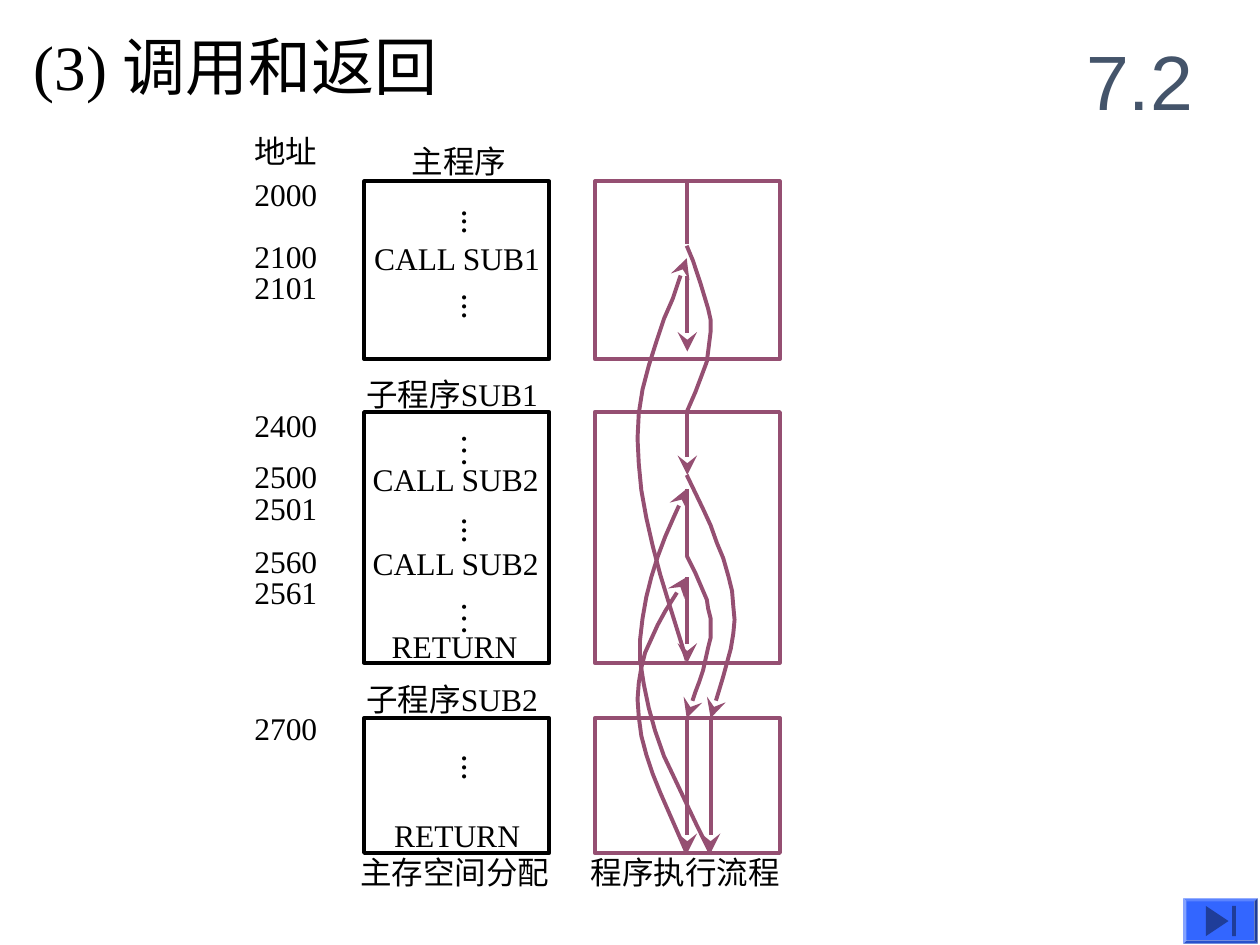
from lxml.etree import SubElement
from pptx import Presentation
from pptx.dml.color import RGBColor
from pptx.enum.shapes import MSO_CONNECTOR as Connector, MSO_SHAPE as Preset
from pptx.enum.text import MSO_ANCHOR as Anchor, MSO_AUTO_SIZE as AutoSize, PP_ALIGN as Align
from pptx.oxml.ns import qn
from pptx.util import Inches, Pt

BLACK, PLUM, SLATE = "000000", "954F72", "44546A"
BUTTON, ICON = "3366FF", "1F3D99"
SERIF, SANS = "Times New Roman", "Arial"

MEMORY_LEFT, FLOW_LEFT, BLOCK_WIDTH = 2.89, 4.72, 1.47
LANE = FLOW_LEFT + BLOCK_WIDTH / 2
SIDE_LANE = 5.64
BLOCKS = {"main": (1.44, 1.41), "sub1": (3.27, 1.99), "sub2": (5.7, 1.07)}

ADDRESS_LEFT, ADDRESS_WIDTH = 1.92, 0.7
ADDRESSES = [
    ("地址", 1), ("2000", 1.34), ("2100", 1.83), ("2101", 2.08), ("2400", 3.17), ("2500", 3.58),
    ("2501", 3.83), ("2560", 4.25), ("2561", 4.5), ("2700", 5.58),
]
LABELS = [
    ("主程序", 3.17, 1.08, 0.95), ("CALL SUB1", 2.87, 1.85, 1.52),
    ("子程序SUB1", 2.81, 2.93, 1.62), ("CALL SUB2", 2.86, 3.6, 1.52),
    ("CALL SUB2", 2.86, 4.27, 1.52), ("RETURN", 3.01, 4.93, 1.2),
    ("子程序SUB2", 2.81, 5.35, 1.62), ("RETURN", 3.03, 6.43, 1.2),
    ("主存空间分配", 2.76, 6.72, 1.7), ("程序执行流程", 4.59, 6.72, 1.7),
]
DOTS_LEFT, DOTS_WIDTH = 3.47, 0.53
DOTS = [
    ("...", 1.56, 0.31), ("...", 2.23, 0.31), ("…", 3.34, 0.38),
    ("...", 4.01, 0.31), ("…", 4.67, 0.38), ("...", 5.89, 0.31),
]

# x, top, bottom, arrowhead, block entered at its top, block left at its bottom
STEPS = [
    (LANE, 1.44, 1.94, False, "main", None), (LANE, 2.19, 2.79, True, None, None),
    (LANE, 3.27, 3.77, True, "sub1", None), (LANE, 3.88, 4.41, False, None, None),
    (LANE, 4.58, 5.26, True, None, "sub1"), (LANE, 5.7, 6.77, True, "sub2", "sub2"),
    (SIDE_LANE, 5.7, 6.77, True, None, None),
]
CALL_SUB1 = [
    (5.45, 1.95), (5.5, 2.07), (5.56, 2.25), (5.62, 2.45), (5.64, 2.54), (5.64, 2.63),
    (5.62, 2.79), (5.61, 2.87), (5.58, 2.95), (5.52, 3.11), (5.45, 3.27),
]
FIRST_CALL_SUB2 = [
    (5.45, 3.77), (5.58, 4.04), (5.64, 4.17), (5.69, 4.31), (5.74, 4.43), (5.78, 4.57),
    (5.81, 4.69), (5.82, 4.81), (5.83, 4.92), (5.82, 5.03), (5.8, 5.15), (5.77, 5.26),
    (5.74, 5.37), (5.71, 5.47), (5.64, 5.7),
]
SECOND_CALL_SUB2 = [
    (5.45, 4.41), (5.52, 4.55), (5.58, 4.69), (5.61, 4.76), (5.62, 4.83), (5.64, 4.91),
    (5.64, 5.06), (5.62, 5.14), (5.6, 5.23), (5.58, 5.32), (5.55, 5.41), (5.52, 5.49),
    (5.45, 5.7),
]
FIRST_RETURN_SUB2 = [
    (5.64, 6.77), (5.54, 6.57), (5.45, 6.38), (5.36, 6.19), (5.27, 6), (5.2, 5.8),
    (5.15, 5.62), (5.11, 5.43), (5.08, 5.24), (5.08, 5.08), (5.1, 4.91), (5.13, 4.74),
    (5.17, 4.58), (5.22, 4.42), (5.28, 4.26), (5.35, 4.1), (5.45, 3.88),
]
SECOND_RETURN_SUB2 = [
    (5.45, 6.77), (5.31, 6.45), (5.24, 6.29), (5.18, 6.14), (5.13, 5.99), (5.09, 5.84),
    (5.07, 5.69), (5.06, 5.55), (5.07, 5.42), (5.09, 5.3), (5.12, 5.18), (5.17, 5.07),
    (5.22, 4.96), (5.28, 4.85), (5.45, 4.58),
]
RETURN_SUB1 = [
    (5.45, 5.24), (5.31, 4.79), (5.24, 4.56), (5.18, 4.33), (5.13, 4.11), (5.09, 3.89),
    (5.07, 3.68), (5.06, 3.48), (5.07, 3.28), (5.1, 3.09), (5.15, 2.9), (5.21, 2.71),
    (5.27, 2.53), (5.34, 2.37), (5.39, 2.22), (5.45, 2.05),
]
CURVES = [
    (CALL_SUB1, False), (FIRST_CALL_SUB2, True), (SECOND_CALL_SUB2, True),
    (FIRST_RETURN_SUB2, True), (SECOND_RETURN_SUB2, True), (RETURN_SUB1, True),
]


def color(value):
    """Turn a hex string into a colour."""
    return RGBColor.from_string(value)


def add_text(page, text, place, size=18, font=SERIF, ink=BLACK):
    """Add a one-line text box."""
    box = page.shapes.add_textbox(*map(Inches, place))
    frame = box.text_frame
    frame.word_wrap = False
    frame.auto_size = AutoSize.SHAPE_TO_FIT_TEXT
    span = frame.paragraphs[0].add_run()
    span.text = text
    span.font.size, span.font.name = Pt(size), font
    span.font.color.rgb = color(ink)
    return frame


def add_dots(page, text, top, height):
    """Add an ellipsis that runs downwards."""
    frame = add_text(page, text, (DOTS_LEFT, top, DOTS_WIDTH, height), 20)
    frame.margin_left = frame.margin_right = Inches(0.05)
    frame.margin_top = frame.margin_bottom = Inches(0.1)
    frame._txBody.bodyPr.set("vert", "eaVert")


def style_line(shape, ink, arrow=False):
    """Set the stroke, with an arrowhead at its end if asked."""
    shape.line.color.rgb = color(ink)
    shape.line.width = Pt(2.25)
    if arrow:
        SubElement(shape.line._get_or_add_ln(), qn("a:tailEnd"), type="stealth", w="lg", len="lg")


def add_block(page, left, top, height, ink):
    """Add an unfilled memory or flow block."""
    block = page.shapes.add_shape(Preset.RECTANGLE, *map(Inches, (left, top, BLOCK_WIDTH, height)))
    block.shadow.inherit = False
    block.fill.background()
    style_line(block, ink)
    return block


def add_outline(page, points, close):
    """Add a freeform through the given points."""
    corners = [(Inches(x), Inches(y)) for x, y in points]
    builder = page.shapes.build_freeform(*corners[0])
    builder.add_line_segments(corners[1:], close=close)
    outline = builder.convert_to_shape()
    outline.shadow.inherit = False
    return outline


def add_step(page, blocks, x, top, bottom, arrow, entered, left):
    """Add a straight run of execution, joined to the blocks it touches."""
    step = page.shapes.add_connector(Connector.STRAIGHT, *map(Inches, (x, top, x, bottom)))
    if entered:
        step.begin_connect(blocks[entered], 0)
    if left:
        step.end_connect(blocks[left], 2)
    style_line(step, PLUM, arrow)
    SubElement(step._element.spPr, qn("a:effectLst"))


def paint(shape, ink):
    """Fill a shape and drop its stroke and shadow."""
    shape.shadow.inherit = False
    shape.fill.solid()
    shape.fill.fore_color.rgb = color(ink)
    shape.line.fill.background()


def add_button(page):
    """Add the bevelled skip-to-end button."""
    button = page.shapes.add_shape(Preset.BEVEL, *map(Inches, (9.39, 7.13, 0.59, 0.36)))
    button.adjustments[0] = 0.07
    paint(button, BUTTON)
    paint(add_outline(page, [(9.57, 7.19), (9.75, 7.31), (9.57, 7.43)], True), ICON)
    paint(page.shapes.add_shape(Preset.RECTANGLE, *map(Inches, (9.78, 7.19, 0.03, 0.24))), ICON)


def main():
    """Build the call and return slide."""
    deck = Presentation()
    deck.slide_width, deck.slide_height = Inches(10), Inches(7.5)
    page = deck.slides.add_slide(deck.slide_layouts[6])

    add_text(page, "(3) 调用和返回", (0.17, 0.17, 5.7, 0.7), 36).word_wrap = True
    number = add_text(page, "7.2", (8.42, 0.17, 1.25, 0.92), 44, SANS, SLATE)
    number.word_wrap, number.auto_size = True, AutoSize.NONE
    number.vertical_anchor = Anchor.MIDDLE
    number.paragraphs[0].alignment = Align.CENTER

    flow = {}
    for name, (top, height) in BLOCKS.items():
        add_block(page, MEMORY_LEFT, top, height, BLACK)
        flow[name] = add_block(page, FLOW_LEFT, top, height, PLUM)
    for points, arrow in CURVES:
        curve = add_outline(page, points, False)
        curve.fill.background()
        style_line(curve, PLUM, arrow)
    for step in STEPS:
        add_step(page, flow, *step)

    for text, top in ADDRESSES:
        add_text(page, text, (ADDRESS_LEFT, top, ADDRESS_WIDTH, 0.4))
    for text, left, top, width in LABELS:
        add_text(page, text, (left, top, width, 0.4))
    for dots in DOTS:
        add_dots(page, *dots)
    add_button(page)
    deck.save("out.pptx")


if __name__ == "__main__":
    main()
